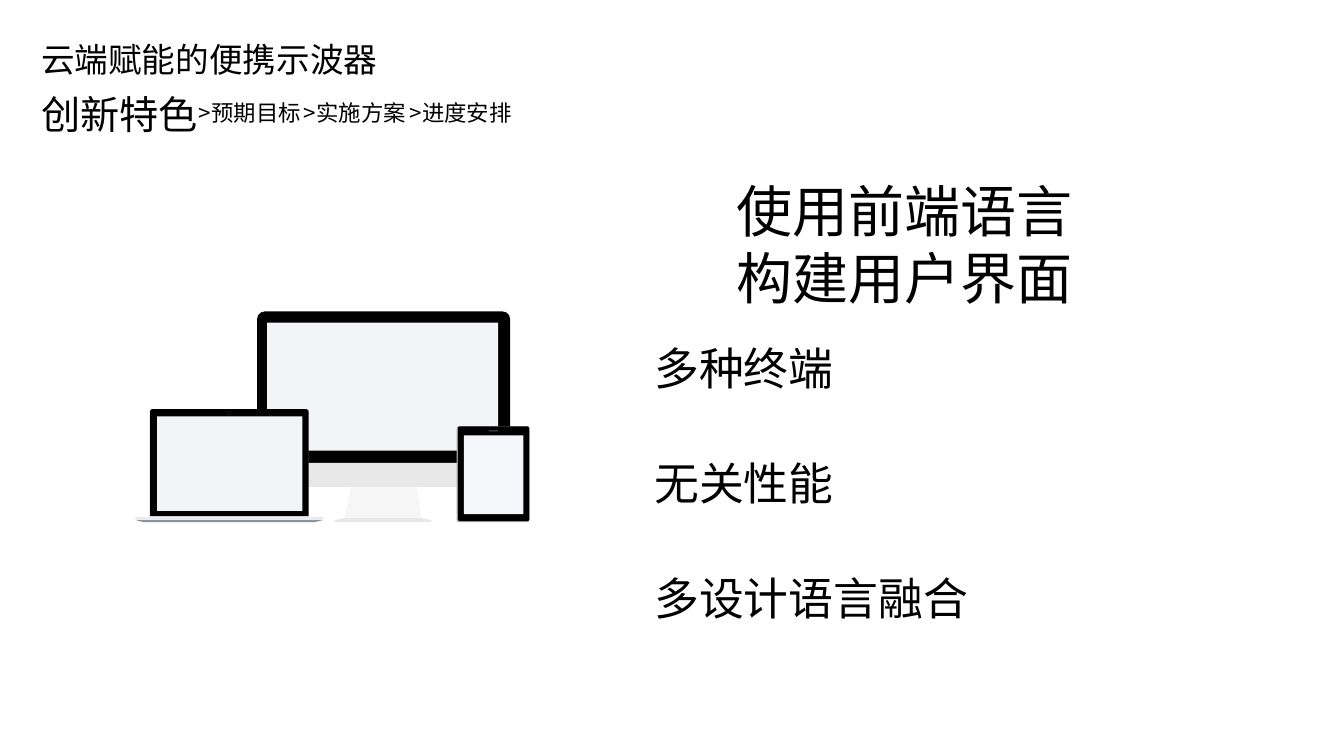
from dataclasses import dataclass

from lxml import etree
from pptx import Presentation
from pptx import util as u
from pptx.dml.color import RGBColor
from pptx.enum import shapes, text
from pptx.oxml import ns

PX = 9144
RECT = shapes.MSO_SHAPE.RECTANGLE
ROUND = shapes.MSO_SHAPE.ROUNDED_RECTANGLE
ROUND_TOP = shapes.MSO_SHAPE.ROUND_2_SAME_RECTANGLE
DONUT = shapes.MSO_SHAPE.DONUT


@dataclass(frozen=True)
class Theme:
    font: str = "Noto Sans CJK SC"
    ink: str = "000000"
    bezel: str = "000000"
    screen: str = "F3F4F6"
    tablet_screen: str = "F5F6FA"
    tablet_edge: str = "AAAAAA"
    speaker: str = "555555"
    camera: str = "232323"
    neck: str = "F6F6F6"
    chin: str = "E8E8E8"
    lid_edge: str = "EAEEF1"
    base: str = "E7EDF1"
    base_shade: str = "919191"
    title: int = 24
    section: int = 28
    crumb: int = 16
    headline: int = 40
    point: int = 32
    leading: float = 1.2
    drop: float = 0.15


T = Theme()


def add_text(parent, box, lines, size, align=text.PP_ALIGN.LEFT):
    sp = parent.add_textbox(*(v * PX for v in box))
    tf = sp.text_frame
    tf.word_wrap = True
    tf.margin_top = (5 + round(size * T.drop)) * PX
    tf.margin_bottom = 0
    for i, line in enumerate(lines):
        p = tf.paragraphs[0] if i == 0 else tf.add_paragraph()
        p.alignment = align
        p.line_spacing = u.Pt(size * T.leading)
        r = p.add_run()
        r.text = line
        r.font.size = u.Pt(size)
        r.font.color.rgb = RGBColor.from_string(T.ink)
        r.font.name = T.font
        ea = etree.SubElement(r.font._element, ns.qn("a:ea"))
        ea.set("typeface", T.font)


def paint(sp, color):
    sp.shadow.inherit = False
    sp.fill.solid()
    sp.fill.fore_color.rgb = RGBColor.from_string(color)
    sp.line.fill.background()


def add_part(s, kind, box, color, *adjustments):
    sp = s.shapes.add_shape(kind, *(v * PX for v in box))
    for i, value in enumerate(adjustments):
        sp.adjustments[i] = value
    paint(sp, color)


def add_outline(s, points, color):
    fb = s.shapes.build_freeform(*points[0], scale=PX)
    fb.add_line_segments(points[1:], close=True)
    paint(fb.convert_to_shape(), color)


def add_breadcrumb(s, steps):
    group = s.shapes.add_group_shape()
    for i, step in enumerate(steps):
        left = 200 + round(i * 104.5)
        add_text(group.shapes, (left, 91, 145, 37), [step], T.crumb)
        add_text(group.shapes, (left - 16, 91, 35, 37), [">"], T.crumb,
                 text.PP_ALIGN.RIGHT)


def add_monitor(s):
    add_outline(s, [(413, 483), (348, 483), (342, 514), (418, 514)], T.neck)
    add_outline(s, [(342, 514), (418, 514), (428, 516), (428, 518),
                    (332, 518), (332, 516)], T.chin)
    add_part(s, ROUND_TOP, (255, 309, 251, 150), T.bezel, 0.05, 0)
    add_part(s, RECT, (255, 458, 251, 12), T.bezel)
    add_part(s, ROUND_TOP, (255, 459, 251, 24), T.chin, 0, 0.33)
    add_part(s, RECT, (255, 458, 251, 1), T.bezel)
    add_part(s, RECT, (265, 320, 229, 127), T.screen)


def add_tablet(s):
    add_part(s, ROUND, (453, 423, 72, 95), T.tablet_edge, 0.03)
    add_part(s, ROUND, (454, 423, 71, 94), T.bezel, 0.03)
    add_part(s, RECT, (460, 432, 59, 78), T.tablet_screen)
    add_part(s, ROUND, (485, 427, 9, 1), T.speaker, 0.5)


def add_laptop(s):
    add_part(s, ROUND_TOP, (148, 406, 158, 107), T.lid_edge, 0.02, 0)
    add_part(s, ROUND_TOP, (149, 406, 157, 106), T.bezel, 0.02, 0)
    add_outline(s, [(134, 513), (321, 513), (321, 515), (316, 517), (312, 518),
                    (143, 518), (138, 517), (134, 515)], T.base)
    add_part(s, RECT, (156, 413, 144, 94), T.screen)
    add_outline(s, [(135, 516), (320, 516), (316, 517), (312, 518),
                    (143, 518), (138, 517)], T.base_shade)
    add_part(s, DONUT, (225, 408, 4, 4), T.camera, 0.1)


def main():
    prs = Presentation()
    prs.slide_width = 1333 * PX
    prs.slide_height = 750 * PX
    s = prs.slides.add_slide(prs.slide_layouts[6])
    add_text(s.shapes, (31, 30, 371, 50), ["云端赋能的便携示波器"], T.title)
    add_text(s.shapes, (721, 164, 479, 145),
             ["使用前端语言", "构建用户界面"], T.headline)
    add_text(s.shapes, (31, 81, 180, 57), ["创新特色"], T.section)
    add_breadcrumb(s, ["预期目标", "实施方案", "进度安排"])
    points = [("多种终端", 661), ("无关性能", 762), ("多设计语言融合", 661)]
    for i, (point, width) in enumerate(points):
        add_text(s.shapes, (639, 328 + i * 114, width, 64), [point], T.point)
    add_monitor(s)
    add_tablet(s)
    add_laptop(s)
    prs.save("out.pptx")


if __name__ == "__main__":
    main()
